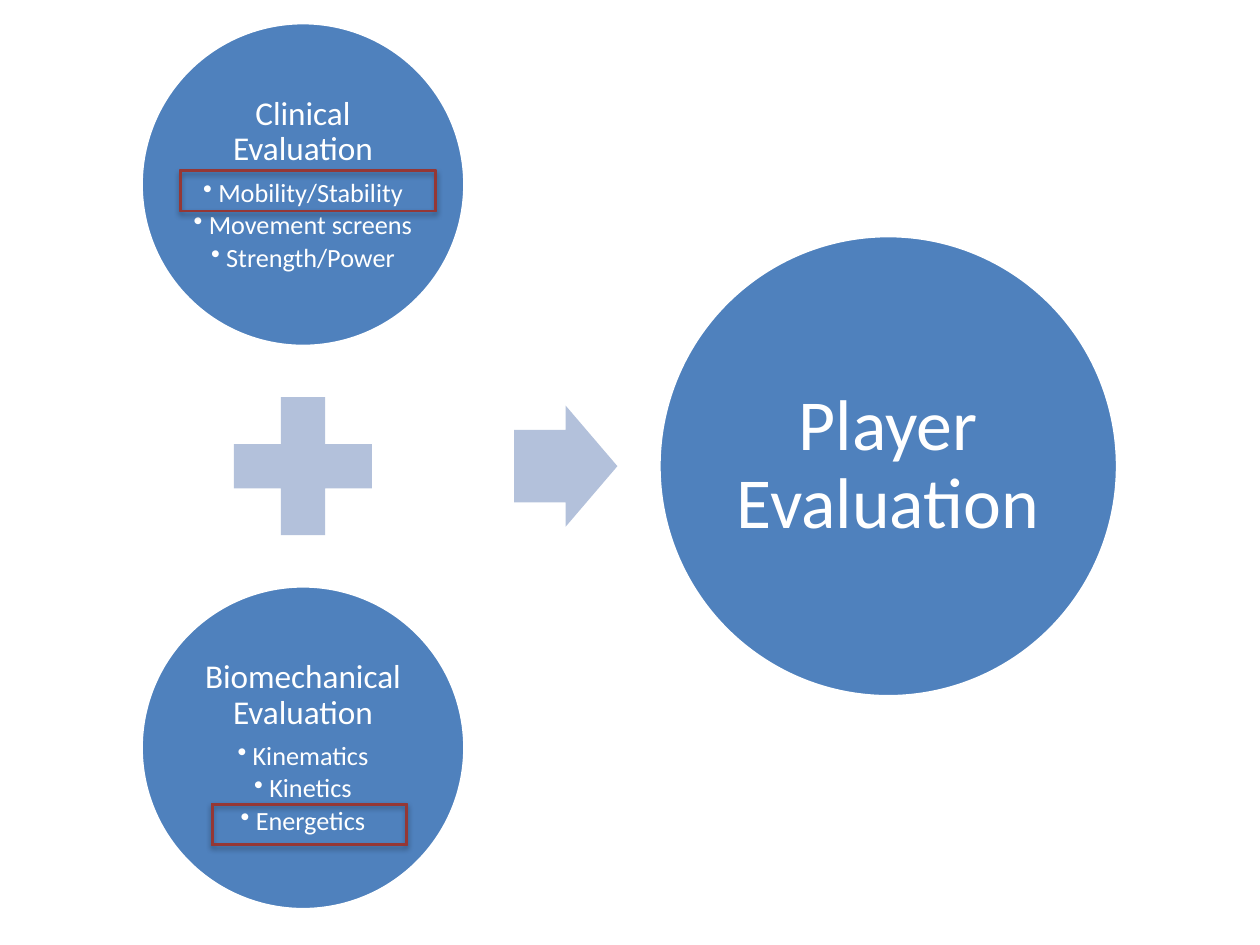
import pptx
import pptx.dml.color
import pptx.enum.shapes
import pptx.enum.text
import pptx.oxml
import pptx.oxml.ns
import pptx.util

RGBColor = pptx.dml.color.RGBColor
SHAPE = pptx.enum.shapes.MSO_SHAPE
Pt = pptx.util.Pt

BLUE = RGBColor(0x4F, 0x81, 0xBD)
PALE_BLUE = RGBColor(0xB3, 0xC1, 0xDB)
RED = RGBColor(0x95, 0x37, 0x35)
WHITE = RGBColor(0xFF, 0xFF, 0xFF)

COLUMNS, ROWS = 100, 75
LEFT_X, MIDDLE_Y = 24.05, 37
INPUT_OFFSET = 22.35

SHADOW = (
    f'<a:outerShdw {pptx.oxml.ns.nsdecls("a")} blurRad="40000" dist="23000" '
    'dir="5400000" rotWithShape="0"><a:srgbClr val="000000">'
    '<a:alpha val="35000"/></a:srgbClr></a:outerShdw>'
)
BULLET = f'<a:buChar {pptx.oxml.ns.nsdecls("a")} char="•"/>'


class Diagram:
    font = "Calibri"
    indent = pptx.util.Inches(0.12)

    def __init__(self, prs):
        self.slide = prs.slides.add_slide(prs.slide_layouts[6])
        self.column = prs.slide_width / COLUMNS
        self.row = prs.slide_height / ROWS

    def shape(self, kind, x, y, width, height, fill, adjustments=()):
        """Add a preset shape centred on grid point (x, y)."""
        sp = self.slide.shapes.add_shape(
            kind,
            round((x - width / 2) * self.column),
            round((y - height / 2) * self.row),
            round(width * self.column),
            round(height * self.row),
        )
        for i, value in enumerate(adjustments):
            sp.adjustments[i] = value
        sp.shadow.inherit = False
        sp.fill.solid()
        sp.fill.fore_color.rgb = fill
        sp.line.fill.background()
        return sp

    def outline(self, sp, color, width):
        sp.line.color.rgb = color
        sp.line.width = Pt(width)

    def circle(self, x, y, width, height, title, size, inset, bullets=()):
        sp = self.shape(SHAPE.OVAL, x, y, width, height, BLUE)
        self.outline(sp, WHITE, 2)
        tf = sp.text_frame
        tf.word_wrap = True
        tf.vertical_anchor = pptx.enum.text.MSO_ANCHOR.MIDDLE
        tf.margin_left = tf.margin_right = pptx.util.Inches(inset)
        tf.margin_top = tf.margin_bottom = pptx.util.Inches(inset)
        self.paragraph(tf.paragraphs[0], title, size, 0.35)
        for text in bullets:
            p = tf.add_paragraph()
            p.level = 1
            pPr = p._p.get_or_add_pPr()
            pPr.set("marL", str(self.indent))
            pPr.set("indent", str(-self.indent))
            pPr.append(pptx.oxml.parse_xml(BULLET))
            self.paragraph(p, text, 15, 0.15)

    def paragraph(self, p, text, size, space_share):
        """Write a centred paragraph; the space after is a share of its size."""
        p.text = text
        p.alignment = pptx.enum.text.PP_ALIGN.CENTER
        p.line_spacing = 0.9
        p.space_after = Pt(size * space_share)
        font = p.runs[0].font
        font.name = self.font
        font.size = Pt(size)
        font.color.rgb = WHITE

    def highlight(self, x, y, width):
        sp = self.shape(SHAPE.FRAME, x, y, width, 3.3, RED, [0.034])
        self.outline(sp, RED, 0.75)
        effects = sp._element.spPr.find(pptx.oxml.ns.qn("a:effectLst"))
        effects.append(pptx.oxml.parse_xml(SHADOW))


def main():
    prs = pptx.Presentation()
    prs.slide_width = pptx.util.Inches(10)
    prs.slide_height = pptx.util.Inches(7.5)
    s = Diagram(prs)

    inputs = [
        ("Clinical Evaluation",
         ["Mobility/Stability", "Movement screens", "Strength/Power"]),
        ("Biomechanical Evaluation",
         ["Kinematics", "Kinetics", "Energetics"]),
    ]
    for side, (title, bullets) in zip((-1, 1), inputs):
        s.circle(LEFT_X, MIDDLE_Y + side * INPUT_OFFSET, 25.7, 25.7,
                 title, 19, 0.03, bullets)

    s.shape(SHAPE.MATH_PLUS, LEFT_X, MIDDLE_Y, 14.9, 14.9, PALE_BLUE)
    s.shape(SHAPE.RIGHT_ARROW, 44.9, MIDDLE_Y, 8.2, 9.6, PALE_BLUE, [0.6, 0.5])
    s.circle(70.5, MIDDLE_Y, 36.4, 36.6, "Player Evaluation", 41, 0.06)

    s.highlight(24.45, 15.15, 20.3)
    s.highlight(24.55, 65.45, 15.5)

    prs.save("out.pptx")


if __name__ == "__main__":
    main()
